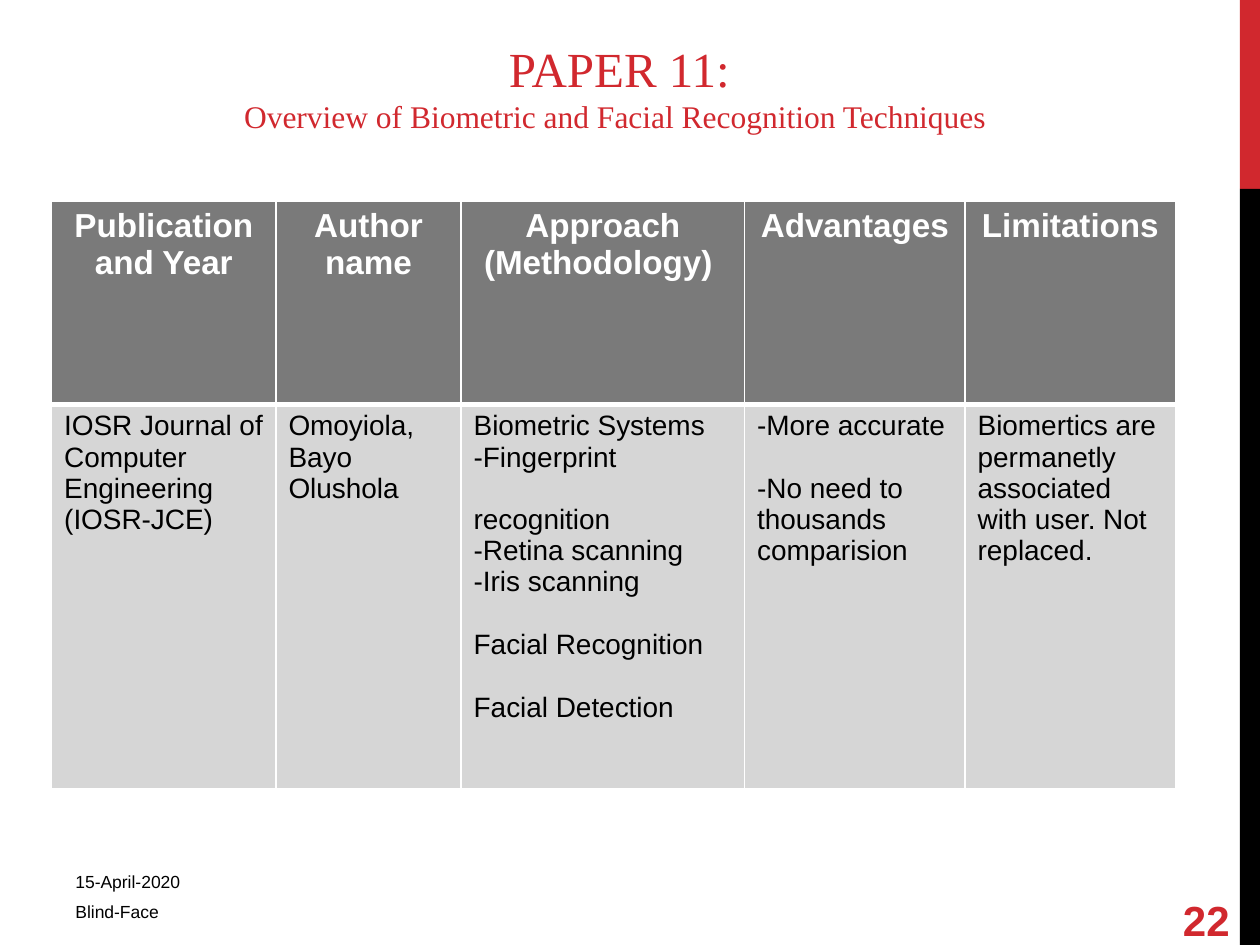
from lxml import etree
from pptx import Presentation
from pptx.dml.color import RGBColor
from pptx.enum.shapes import MSO_SHAPE
from pptx.enum.text import MSO_ANCHOR, MSO_AUTO_SIZE, PP_ALIGN
from pptx.oxml.ns import qn
from pptx.util import Pt

RECT = MSO_SHAPE.RECTANGLE
TOP, MIDDLE, BOTTOM = MSO_ANCHOR.TOP, MSO_ANCHOR.MIDDLE, MSO_ANCHOR.BOTTOM
LEFT, CENTER = PP_ALIGN.LEFT, PP_ALIGN.CENTER
FIXED = MSO_AUTO_SIZE.NONE
SCALE = 9144
RED, BLACK, WHITE = "D1282E", "000000", "FFFFFF"
GREY, PALE = "7A7A7A", "D6D6D6"
SANS, SERIF = "Arial", "Times New Roman"


def px(*nums):
    """Turn px lengths into EMU."""
    return [num * SCALE for num in nums]


def rgb(code):
    """Turn a hex string into a colour."""
    return RGBColor.from_string(code)


class Deck:
    """Hold the style and the current slide."""

    def __init__(self, wide, high):
        """Start a deck with one title slide."""
        self.prs = Presentation()
        self.prs.slide_width, self.prs.slide_height = px(wide, high)
        self.slide = self.prs.slides.add_slide(self.prs.slide_layouts[5])

    def style(self, item, size, color=BLACK, bold=False, face=SANS):
        """Set the font of a paragraph or run."""
        font = item.font
        font.name, font.size, font.bold = face, Pt(size), bold
        font.color.rgb = rgb(color)

    def bar(self, box, color):
        """Draw a plain filled bar."""
        shape = self.slide.shapes.add_shape(RECT, *px(*box))
        shape.shadow.inherit = False
        shape.fill.solid()
        shape.fill.fore_color.rgb = rgb(color)
        shape.line.fill.background()

    def title(self, box, head, sub):
        """Fill the title with a heading and a smaller line below."""
        shape = self.slide.shapes.title
        shape.left, shape.top, shape.width, shape.height = px(*box)
        frame = shape.text_frame
        frame.auto_size, frame.vertical_anchor = FIXED, BOTTOM
        para = frame.paragraphs[0]
        para.alignment = CENTER
        for text, size in ((head, 28), (sub, 18)):
            if para.runs:
                para.add_line_break()
            run = para.add_run()
            run.text = text
            self.style(run, size, RED, face=SERIF)

    def label(self, box, text, size, color=BLACK, bold=False, anchor=TOP, foot=5):
        """Place a one-line text box."""
        frame = self.slide.shapes.add_textbox(*px(*box)).text_frame
        frame.word_wrap, frame.vertical_anchor = True, anchor
        frame.margin_bottom = px(foot)[0]
        para = frame.paragraphs[0]
        para.text = text
        self.style(para, size, color, bold)

    def edge(self, cell, side, width):
        """Draw one white cell border."""
        line = etree.SubElement(cell._tc.get_or_add_tcPr(), qn(f"a:ln{side}"), w=str(Pt(width)))
        fill = etree.SubElement(line, qn("a:solidFill"))
        etree.SubElement(fill, qn("a:srgbClr"), val=WHITE)

    def cell(self, cell, lines, head):
        """Fill a cell; each line is text or a (text, space before) pair."""
        thick = {"B": 3} if head else {"T": 3}
        for side in "LRTB":
            self.edge(cell, side, thick.get(side, 1))
        cell.fill.solid()
        cell.fill.fore_color.rgb = rgb(GREY if head else PALE)
        frame = cell.text_frame
        for num, line in enumerate(lines):
            text, gap = line if isinstance(line, tuple) else (line, 0)
            para = frame.add_paragraph() if num else frame.paragraphs[0]
            para.text = text
            para.alignment = CENTER if head else LEFT
            if gap:
                para.space_before = Pt(gap)
            self.style(para, 19 if head else 16, WHITE if head else BLACK, head)

    def table(self, box, cols, rows, data):
        """Add a table with a dark header row."""
        grid = self.slide.shapes.add_table(len(rows), len(cols), *px(*box)).table
        for col, wide in zip(grid.columns, px(*cols)):
            col.width = wide
        for row, high in zip(grid.rows, px(*rows)):
            row.height = high
        for i, row in enumerate(data):
            for j, lines in enumerate(row):
                self.cell(grid.cell(i, j), lines, i == 0)


def main():
    """Build the slide."""
    gap = 18
    heads = ["Publication and Year", "Author name", "Approach (Methodology) ",
             "Advantages", "Limitations"]
    paper = [
        ["IOSR Journal of Computer Engineering (IOSR-JCE)"],
        ["Omoyiola, Bayo Olushola"],
        ["Biometric Systems", "-Fingerprint", ("recognition", gap), "-Retina scanning",
         "-Iris scanning", ("Facial Recognition", gap), ("Facial Detection", gap)],
        ["-More accurate", ("-No need to thousands comparision", gap)],
        ["Biomertics are permanetly associated with user. Not replaced."],
    ]
    deck = Deck(1000, 750)
    deck.bar((984, 0, 16, 150), RED)
    deck.bar((984, 150, 16, 600), BLACK)
    deck.title((8, 2, 967, 110), "PAPER 11:",
               "Overview of Biometric and Facial Recognition Techniques ")
    deck.table((41, 160, 892, 466), (178, 147, 225, 175, 167), (161, 305),
               [[[head] for head in heads], paper])
    deck.label((50, 675, 375, 33), "15-April-2020", 10, anchor=BOTTOM, foot=0)
    deck.label((50, 710, 375, 31), "Blind-Face", 10)
    deck.label((929, 658, 58, 144), "22", 24, RED, True, MIDDLE)
    deck.prs.save("out.pptx")


if __name__ == "__main__":
    main()
